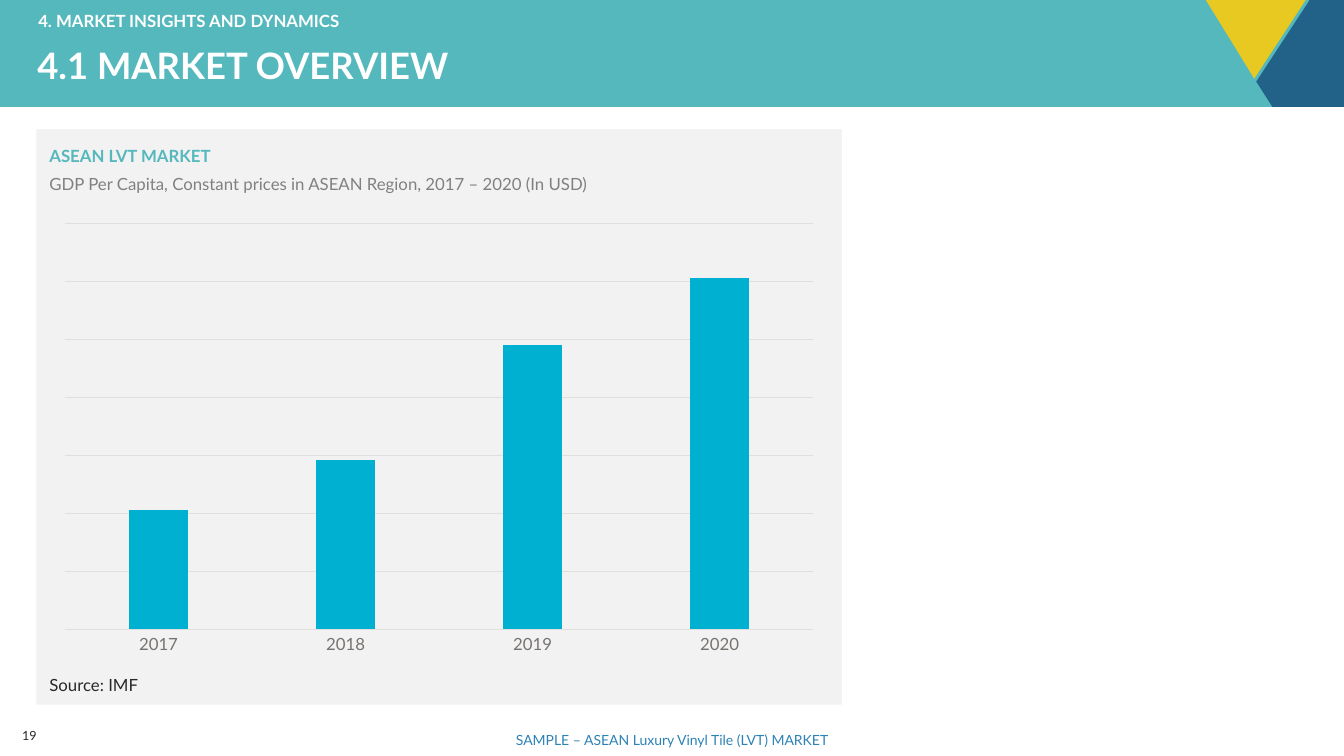
import dataclasses

import lxml.etree
import pptx
import pptx.chart.data
import pptx.dml.color
import pptx.enum.chart
import pptx.enum.shapes
import pptx.enum.text
import pptx.oxml
import pptx.oxml.ns
import pptx.util

Inches = pptx.util.Inches
Align = pptx.enum.text.PP_ALIGN
Anchor = pptx.enum.text.MSO_ANCHOR


@dataclasses.dataclass(frozen=True)
class Theme:
    """Colours, font and type sizes of the slide."""
    font: str = "Lato"
    white: str = "FFFFFF"
    teal: str = "54B8BD"
    yellow: str = "E8C921"
    navy: str = "236288"
    panel: str = "F2F2F2"
    ink: str = "292827"
    grey: str = "808080"
    axis_text: str = "767370"
    grid: str = "E0DFDE"
    bar: str = "00B0D1"
    footer: str = "2D82B5"
    title_size: int = 26
    body_size: int = 12
    footer_size: int = 10
    page_size: int = 9


THEME = Theme()


def rgb(value):
    """Turn a hex string into a colour."""
    return pptx.dml.color.RGBColor.from_string(value)


def style_font(font, size, color, bold=False):
    """Apply the theme font with a size and colour."""
    font.name = THEME.font
    font.size = pptx.util.Pt(size)
    font.bold = bold
    font.color.rgb = rgb(color)


def style_line(line, color):
    """Draw a thin line in the given colour."""
    line.color.rgb = rgb(color)
    line.width = pptx.util.Pt(0.75)


def paint(shape, color):
    """Fill a shape flat, without outline or shadow."""
    shape.fill.solid()
    shape.fill.fore_color.rgb = rgb(color)
    shape.line.fill.background()
    shape.shadow.inherit = False


def add_block(page, left, top, width, height, color):
    """Add a plain rectangle."""
    kind = pptx.enum.shapes.MSO_SHAPE.RECTANGLE
    paint(page.shapes.add_shape(kind, Inches(left), Inches(top),
                                Inches(width), Inches(height)), color)


def add_polygon(page, points, color):
    """Add a closed outline through points given in inches."""
    corners = [(Inches(x), Inches(y)) for x, y in points]
    builder = page.shapes.build_freeform(*corners[0], scale=1.0)
    builder.add_line_segments(corners[1:], close=True)
    paint(builder.convert_to_shape(), color)


def add_text(page, text, place, size, color, bold=False,
             align=Align.LEFT, anchor=Anchor.TOP, space_after=0):
    """Add a one-paragraph text box without insets."""
    box = page.shapes.add_textbox(*map(Inches, place))
    frame = box.text_frame
    frame.word_wrap = True
    frame.vertical_anchor = anchor
    frame.margin_left = frame.margin_right = 0
    frame.margin_top = frame.margin_bottom = 0
    frame.text = text
    para = frame.paragraphs[0]
    para.alignment = align
    para.space_after = pptx.util.Pt(space_after)
    style_font(para.runs[0].font, size, color, bold)


def set_plot_layout(chart, **fractions):
    """Fix the inner plot area as fractions of the chart frame."""
    plot_area = chart.plots[0]._element.getparent()
    for old in plot_area.findall(pptx.oxml.ns.qn("c:layout")):
        plot_area.remove(old)
    layout = pptx.oxml.parse_xml(
        f"<c:layout {pptx.oxml.ns.nsdecls('c')}><c:manualLayout/></c:layout>")
    settings = {"layoutTarget": "inner", "xMode": "edge", "yMode": "edge",
                **fractions}
    for name, value in settings.items():
        lxml.etree.SubElement(layout[0], pptx.oxml.ns.qn(f"c:{name}"),
                              val=str(value))
    plot_area.insert(0, layout)


def add_gdp_chart(page, place):
    """Add the column chart of GDP per capita by year."""
    data = pptx.chart.data.CategoryChartData()
    data.categories = ["2017", "2018", "2019", "2020"]
    data.add_series("Series 1", [86, 89, 96, 100])
    kind = pptx.enum.chart.XL_CHART_TYPE.COLUMN_CLUSTERED
    chart = page.shapes.add_chart(kind, *map(Inches, place), data).chart
    chart.has_legend = False
    chart.has_title = False
    style_font(chart.font, THEME.footer_size, THEME.ink)

    plot = chart.plots[0]
    plot.gap_width = 219
    plot.overlap = -27
    plot.vary_by_categories = False
    fill = plot.series[0].format.fill
    fill.solid()
    fill.fore_color.rgb = rgb(THEME.bar)

    years = chart.category_axis
    years.major_tick_mark = pptx.enum.chart.XL_TICK_MARK.NONE
    years.has_major_gridlines = False
    style_font(years.tick_labels.font, THEME.body_size, THEME.axis_text)
    style_line(years.format.line, THEME.grid)

    values = chart.value_axis
    values.visible = False
    values.major_unit = 3.5
    values.minimum_scale = 78.8
    values.maximum_scale = values.minimum_scale + 7 * values.major_unit
    values.has_major_gridlines = True
    style_line(values.major_gridlines.format.line, THEME.grid)
    set_plot_layout(chart, x=0.02, y=0.02, w=0.96, h=0.905)


def add_header(page):
    """Add the header band, its corner decoration and the headings."""
    add_block(page, 0, 0, 13.33, 1.06, THEME.teal)
    add_polygon(page, [(11.96, 0), (12.95, 0), (12.44, 0.78)], THEME.yellow)
    add_polygon(page, [(12.99, 0), (13.33, 0), (13.33, 1.06),
                       (12.62, 1.06), (12.46, 0.81)], THEME.navy)
    add_text(page, "4.1 MARKET OVERVIEW", (0.37, 0.43, 12.58, 0.44),
             THEME.title_size, THEME.white, bold=True)
    add_text(page, "4. MARKET INSIGHTS AND DYNAMICS", (0.38, 0.11, 3.97, 0.61),
             THEME.body_size, THEME.white, bold=True, align=Align.JUSTIFY)


def add_market_panel(page):
    """Add the grey panel with its captions, chart and source."""
    left, width, line_height = 0.49, 7.73, 0.2
    add_block(page, 0.36, 1.28, 7.99, 5.71, THEME.panel)
    add_text(page, "ASEAN LVT MARKET", (left, 1.45, width, line_height),
             THEME.body_size, THEME.teal, bold=True, anchor=Anchor.BOTTOM)
    add_text(page, "GDP Per Capita, Constant prices in ASEAN Region, "
             "2017 – 2020 (In USD)", (left, 1.72, width, line_height),
             THEME.body_size, THEME.grey, anchor=Anchor.BOTTOM)
    add_gdp_chart(page, (left, 2.13, width, 4.45))
    add_text(page, "Source: IMF", (left, 6.69, width, line_height),
             THEME.body_size, THEME.ink, align=Align.JUSTIFY)


def add_footer(page):
    """Add the report name and the page number."""
    add_text(page, "SAMPLE – ASEAN Luxury Vinyl Tile (LVT) MARKET",
             (1.09, 7.25, 11.15, 0.17), THEME.footer_size, THEME.footer,
             align=Align.CENTER, anchor=Anchor.BOTTOM, space_after=5)
    add_text(page, "19", (0.22, 7.22, 0.27, 0.15), THEME.page_size, THEME.ink)


def main():
    """Build the slide and save the deck."""
    deck = pptx.Presentation()
    deck.slide_width = Inches(13.33)
    deck.slide_height = Inches(7.5)
    page = deck.slides.add_slide(deck.slide_layouts[6])
    add_footer(page)
    add_header(page)
    add_market_panel(page)
    deck.save("out.pptx")


main()
